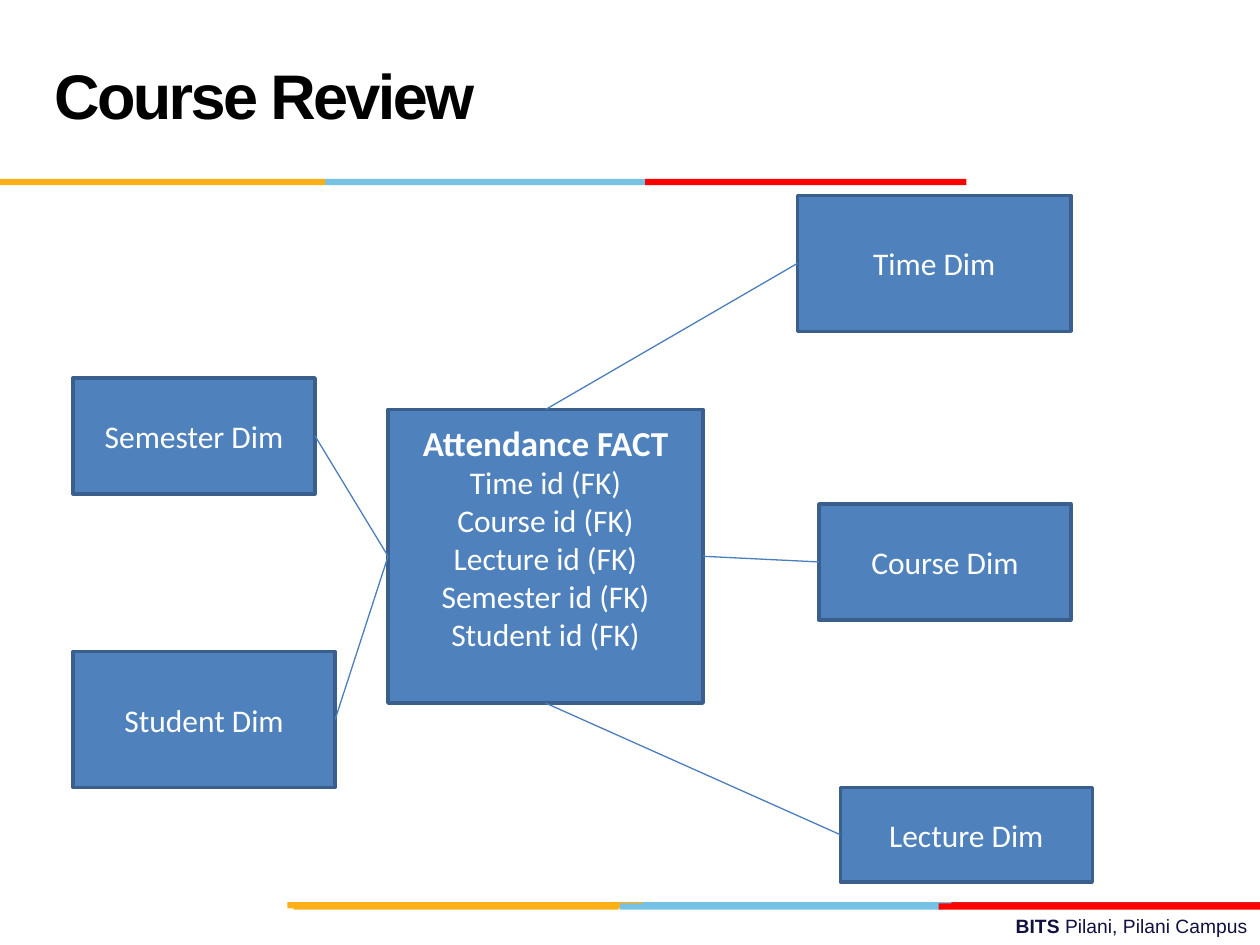
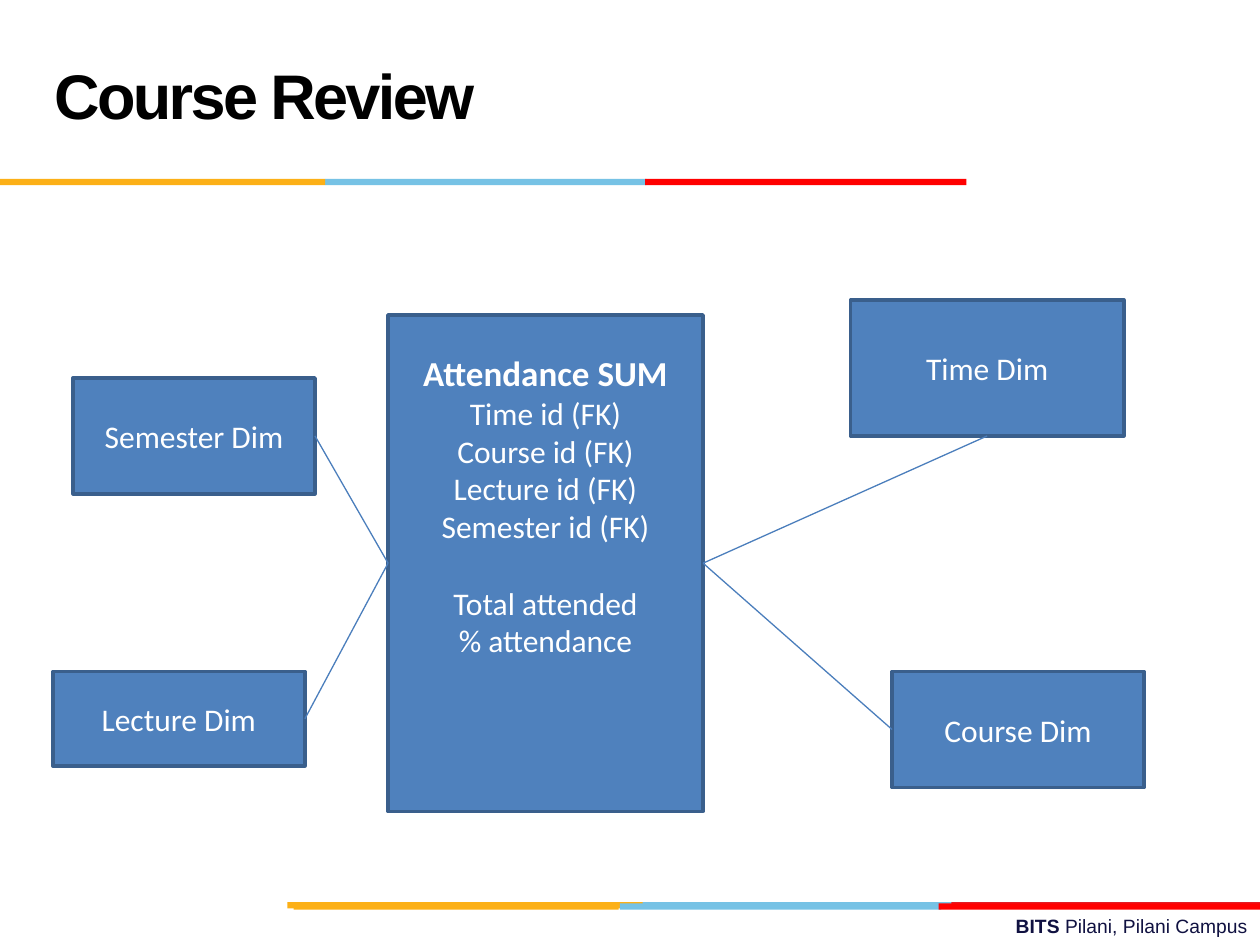
import pptx
import pptx.dml.color
import pptx.enum.shapes
import pptx.enum.text
import pptx.oxml.ns
import pptx.util
from lxml import etree

Inches, Pt = pptx.util.Inches, pptx.util.Pt
RGBColor = pptx.dml.color.RGBColor
PP_ALIGN = pptx.enum.text.PP_ALIGN
MSO_ANCHOR = pptx.enum.text.MSO_ANCHOR
MSO_AUTO_SIZE = pptx.enum.text.MSO_AUTO_SIZE

BLACK = RGBColor(0x00, 0x00, 0x00)
WHITE = RGBColor(0xFF, 0xFF, 0xFF)
NAVY = RGBColor(0x10, 0x11, 0x41)
ORANGE = RGBColor(0xFC, 0xB0, 0x17)
SKY = RGBColor(0x76, 0xC2, 0xE5)
RED = RGBColor(0xFF, 0x00, 0x00)
DARK_RED = RGBColor(0xE3, 0x1C, 0x24)
BOX_FILL = RGBColor(0x4F, 0x81, 0xBD)
BOX_LINE = RGBColor(0x3A, 0x5F, 0x8C)
LINK_LINE = RGBColor(0x4B, 0x7E, 0xBC)

TOP, LEFT, BOTTOM, RIGHT = range(4)  # connection sites of a rectangle
LINE_HEIGHT = 0.305  # one 18 pt line, in inches
GAP_BEFORE = "Total attended"  # starts the group of measures

# Each strip: top, then (left, width, colour) segments
BAND_HEIGHT = 0.05
STRIPS = [
    (7.16, [(5.06, 2.55, SKY), (7.55, 2.45, DARK_RED), (2.28, 2.82, ORANGE)]),
    (7.17, [(4.92, 2.55, SKY), (2.33, 2.58, ORANGE), (7.45, 2.55, RED)]),
    (1.42, [(2.58, 2.55, SKY), (0, 2.58, ORANGE), (5.12, 2.55, RED)]),
]

KEYS = ["Time id (FK)", "Course id (FK)", "Lecture id (FK)", "Semester id (FK)"]

# Each dimension: name, position, then fact site and own site of its link
STARS = [
    {
        "title": "Course Review",
        "fact": ["Attendance FACT", *KEYS, "Student id (FK)"],
        "at": (3.08, 3.25, 2.5, 2.33),
        "lines_below": 1,
        "dims": [
            ("Time Dim", (6.33, 1.55, 2.17, 1.08), TOP, LEFT),
            ("Course Dim", (6.5, 4, 2, 0.92), RIGHT, LEFT),
            ("Lecture Dim", (6.67, 6.25, 2, 0.75), BOTTOM, LEFT),
            ("Semester Dim", (0.58, 3, 1.92, 0.92), LEFT, RIGHT),
            ("Student Dim", (0.58, 5.17, 2.08, 1.08), LEFT, RIGHT),
        ],
    },
    {
        "title": "Course Review",
        "fact": ["Attendance SUM", *KEYS, "Total attended", "% attendance"],
        "at": (3.08, 2.5, 2.5, 3.94),
        "lines_below": 3,
        "dims": [
            ("Time Dim", (6.75, 2.38, 2.17, 1.08), RIGHT, BOTTOM),
            ("Course Dim", (7.08, 5.33, 2, 0.92), RIGHT, LEFT),
            ("Lecture Dim", (0.42, 5.33, 2, 0.75), LEFT, RIGHT),
            ("Semester Dim", (0.58, 3, 1.92, 0.92), LEFT, RIGHT),
        ],
    },
]


def set_font(font, name, size, color, bold=False):
    font.name, font.size, font.bold = name, Pt(size), bold
    font.color.rgb = color


def add_rect(slide, at, fill):
    sp = slide.shapes.add_shape(
        pptx.enum.shapes.MSO_SHAPE.RECTANGLE, *map(Inches, at))
    sp.shadow.inherit = False
    sp.fill.solid()
    sp.fill.fore_color.rgb = fill
    sp.line.fill.background()
    return sp


def add_frame(slide):
    """Draw the footer and the coloured strips that every slide carries."""
    footer = slide.shapes.add_textbox(*map(Inches, (3.58, 7.21, 6.42, 0.29)))
    tf = footer.text_frame
    tf.word_wrap = True
    tf.auto_size = MSO_AUTO_SIZE.SHAPE_TO_FIT_TEXT
    p = tf.paragraphs[0]
    p.alignment = PP_ALIGN.RIGHT
    for text, bold in (("BITS ", True), ("Pilani, Pilani Campus", False)):
        r = p.add_run()
        r.text = text
        set_font(r.font, "Arial", 11, NAVY, bold)
    for top, segments in STRIPS:
        for left, width, color in segments:
            add_rect(slide, (left, top, width, BAND_HEIGHT), color)


def set_title(slide, text):
    sp = slide.shapes.title
    sp.left, sp.top, sp.width, sp.height = map(Inches, (0.33, 0.17, 6.92, 1.25))
    tf = sp.text_frame
    tf.auto_size = MSO_AUTO_SIZE.NONE
    tf.vertical_anchor = MSO_ANCHOR.MIDDLE
    p = tf.paragraphs[0]
    p.alignment = PP_ALIGN.LEFT
    p.line_spacing = Pt(36)
    r = p.add_run()
    r.text = text
    set_font(r.font, "Arial", 36, BLACK, True)
    r.font._element.set("spc", "-150")


def add_box(slide, lines, at, has_heading=False, lines_below=0):
    """Add an entity box, its text raised by the room of lines_below lines."""
    sp = add_rect(slide, at, BOX_FILL)
    sp.line.color.rgb = BOX_LINE
    sp.line.width = Pt(2)
    tf = sp.text_frame
    tf.word_wrap = True
    tf.vertical_anchor = MSO_ANCHOR.MIDDLE
    tf.margin_bottom = Inches(0.05 + lines_below * LINE_HEIGHT)
    tf.text = "\n".join(lines)
    for i, p in enumerate(tf.paragraphs):
        heading = has_heading and i == 0
        p.alignment = PP_ALIGN.CENTER
        if p.text == GAP_BEFORE:
            p.space_before = Pt(22)
        set_font(p.font, "Calibri", 20 if heading else 18, WHITE, heading)
    return sp


def add_link(slide, fact, fact_site, dim, dim_site):
    link = slide.shapes.add_connector(
        pptx.enum.shapes.MSO_CONNECTOR.STRAIGHT, 0, 0, 0, 0)
    link.begin_connect(fact, fact_site)
    link.end_connect(dim, dim_site)
    link.line.color.rgb = LINK_LINE
    link.line.width = Pt(0.75)
    etree.SubElement(link._element.spPr, pptx.oxml.ns.qn("a:effectLst"))


def add_star(prs, star):
    slide = prs.slides.add_slide(prs.slide_layouts.get_by_name("Title Only"))
    add_frame(slide)
    set_title(slide, star["title"])
    fact = add_box(slide, star["fact"], star["at"], True, star["lines_below"])
    dims = [add_box(slide, [name], at) for name, at, _, _ in star["dims"]]
    for dim, (_, _, fact_site, dim_site) in zip(dims, star["dims"]):
        add_link(slide, fact, fact_site, dim, dim_site)


def main():
    prs = pptx.Presentation()
    prs.slide_width, prs.slide_height = Inches(10), Inches(7.5)
    for star in STARS:
        add_star(prs, star)
    prs.save("out.pptx")


if __name__ == "__main__":
    main()
